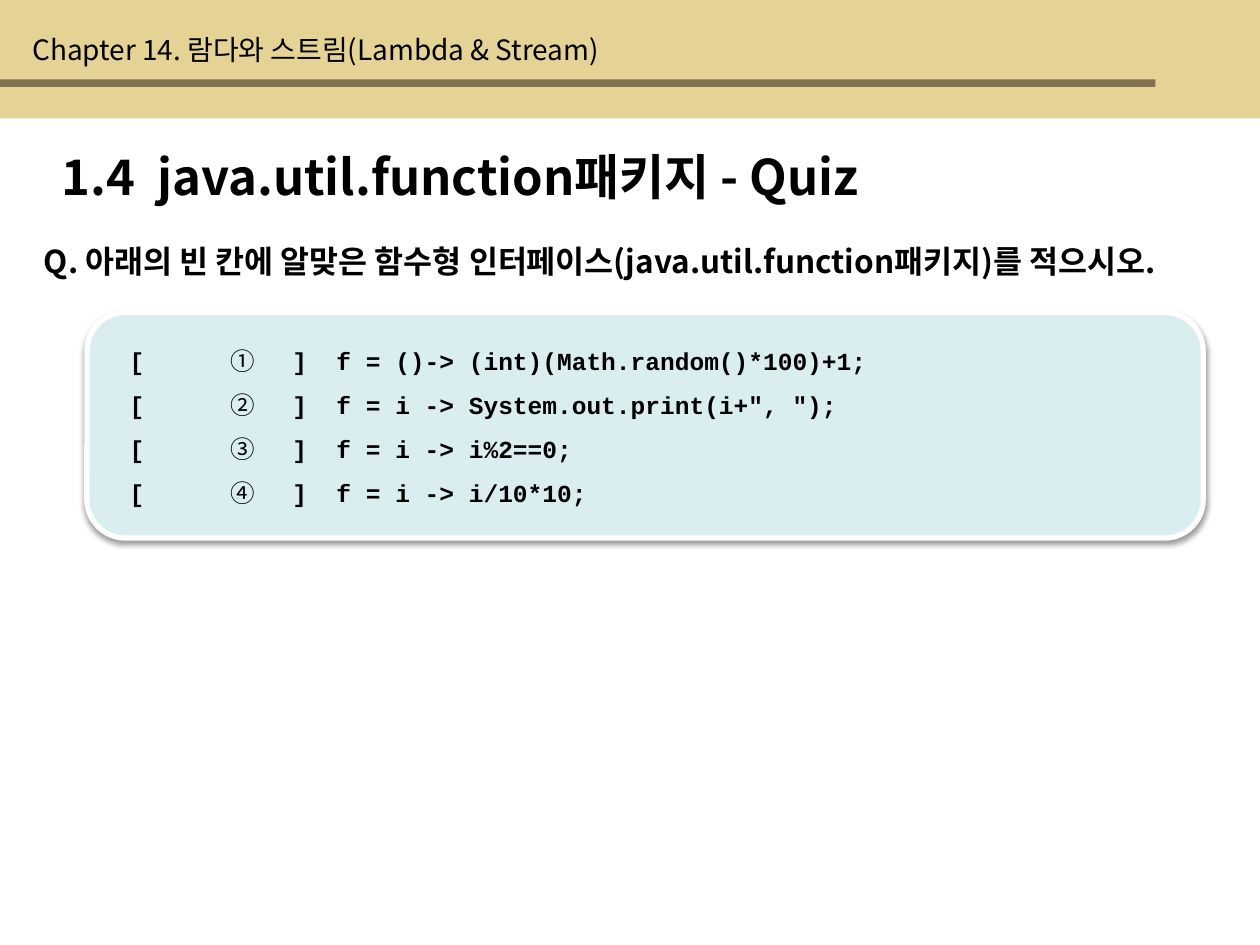
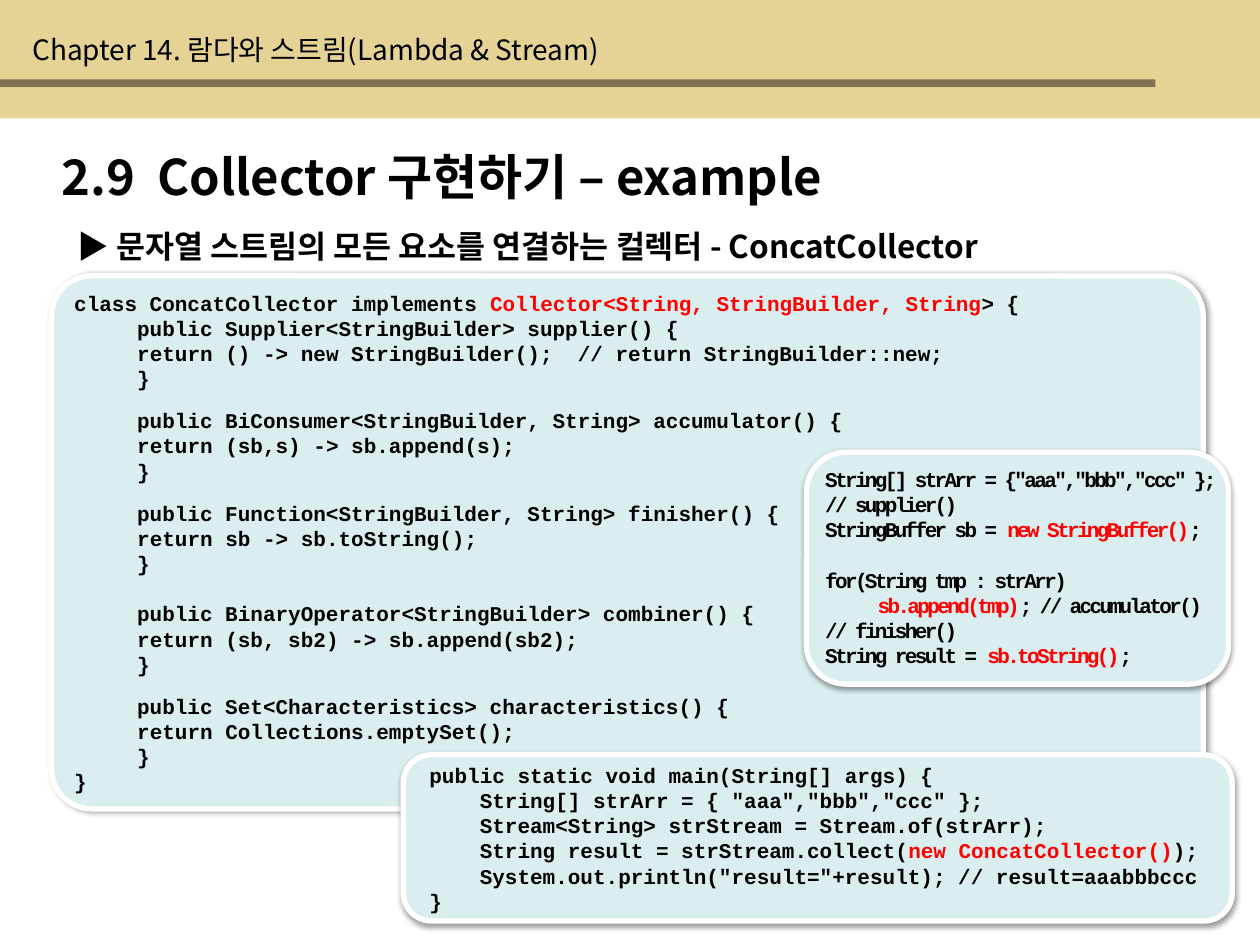
from lxml import etree
from pptx import Presentation
from pptx.dml.color import RGBColor
from pptx.enum.shapes import MSO_SHAPE
from pptx.enum.text import MSO_ANCHOR, MSO_AUTO_SIZE
from pptx.oxml.ns import qn
from pptx.util import Inches, Pt

RECT, ROUND = MSO_SHAPE.RECTANGLE, MSO_SHAPE.ROUNDED_RECTANGLE
TOP, BOTTOM = MSO_ANCHOR.TOP, MSO_ANCHOR.BOTTOM
FIT = MSO_AUTO_SIZE.SHAPE_TO_FIT_TEXT

SAND = RGBColor(0xE4, 0xD3, 0x94)
BROWN = RGBColor(0x81, 0x70, 0x51)
PALE = RGBColor(0xDA, 0xED, 0xEF)
WHITE = RGBColor(0xFF, 0xFF, 0xFF)
BLACK = RGBColor(0, 0, 0)
RED = RGBColor(0xFF, 0, 0)
SANS, MONO = "Noto Sans CJK KR", "Courier New"

CHAPTER = "Chapter 14. 람다와 스트림(Lambda & Stream)"
QUIZ = {
    "title": "1.4  java.util.function패키지 - Quiz",
    "lead": ("Q. 아래의 빈 칸에 알맞은 함수형 인터페이스(java.util.function패키지)를 적으시오.",
             (0.25, 1.87, 10.28, 0.4)),
}
BLANKS = [
    ("➀", "]  f = ()-> (int)(Math.random()*100)+1;"),
    ("➁", "]  f = i -> System.out.print(i+\", \");"),
    ("➂", "]  f = i -> i%2==0;"),
    ("➃", "]  f = i -> i/10*10;"),
]
EXAMPLE = {
    "title": "2.9  Collector 구현하기 – example",
    "lead": ("▶ 문자열 스트림의 모든 요소를 연결하는 컬렉터 - ConcatCollector",
             (0.52, 1.75, 9.41, 0.4)),
}
# In code, bars enclose red parts and a number is a gap in points.
COLLECTOR = [
    "class ConcatCollector implements |Collector<String, StringBuilder, String|> {",
    "     public Supplier<StringBuilder> supplier() {",
    "\treturn () -> new StringBuilder();  // return StringBuilder::new;",
    "     }",
    9.5,
    "     public BiConsumer<StringBuilder, String> accumulator() {",
    "\treturn (sb,s) -> sb.append(s);",
    "     }",
    9.5,
    "     public Function<StringBuilder, String> finisher() {",
    "\treturn sb -> sb.toString();",
    "     }",
    14.4,
    "     public BinaryOperator<StringBuilder> combiner() {",
    "\treturn (sb, sb2) -> sb.append(sb2);",
    "     }",
    9.5,
    "     public Set<Characteristics> characteristics() {",
    "\treturn Collections.emptySet();",
    "     }",
    "}",
]
MAIN = [
    "public static void main(String[] args) {",
    "    String[] strArr = { \"aaa\",\"bbb\",\"ccc\" };",
    "    Stream<String> strStream = Stream.of(strArr);",
    "    String result = strStream.collect(|new ConcatCollector()|);",
    "    System.out.println(\"result=\"+result); // result=aaabbbccc",
    "}",
]
LOOP = [
    "String[] strArr = {\"aaa\",\"bbb\",\"ccc\" };",
    "// supplier()",
    "StringBuffer sb = |new StringBuffer()|;",
    14.4,
    "for(String tmp : strArr)",
    "     |sb.append(tmp)|; // accumulator()",
    "// finisher()",
    "String result = |sb.toString()|;",
]
# card place, text place, lines, corner, shadow angle, letter spacing
CODES = [
    ((0.41, 2.19, 9.14, 4.23), (0.49, 2.32, 9.22, 4.03), COLLECTOR, 0.075, 20, 0),
    ((3.2, 5.99, 6.58, 1.32), (3.31, 5.99, 6.64, 1.31), MAIN, 0.17, 90, 0),
    ((6.4, 3.59, 3.35, 1.84), (6.45, 3.63, 3.38, 1.72), LOOP, 0.17, 90, -1.5),
]


def place(box):
    return [Inches(v) for v in box]


def add_run(para, text, size, face=SANS, bold=True, color=BLACK, track=0):
    run = para.add_run()
    run.text = text
    font = run.font
    font.size, font.name, font.bold = Pt(size), face, bold
    font.color.rgb = color
    props = font._element
    etree.SubElement(props, qn("a:ea"), typeface=SANS)
    if track:
        props.set("spc", str(int(track * 100)))


def add_frame(slide, box, anchor=TOP):
    frame = slide.shapes.add_textbox(*place(box)).text_frame
    frame.word_wrap = True
    frame.auto_size = FIT
    frame.vertical_anchor = anchor
    return frame


def next_para(frame, first):
    return frame.paragraphs[0] if first else frame.add_paragraph()


def add_label(slide, text, box, size, bold=True, hang=0):
    para = add_frame(slide, box).paragraphs[0]
    if hang:
        props = para._p.get_or_add_pPr()
        props.set("marL", str(Inches(hang)))
        props.set("indent", str(-Inches(hang)))
    add_run(para, text, size, bold=bold)


def add_band(slide, box, color):
    band = slide.shapes.add_shape(RECT, *place(box))
    band.shadow.inherit = False
    band.fill.solid()
    band.fill.fore_color.rgb = color
    band.line.fill.background()


def add_card(slide, box, corner=0.17, angle=90):
    """Rounded code panel with a white rim and a soft shadow."""
    card = slide.shapes.add_shape(ROUND, *place(box))
    card.adjustments[0] = corner
    card.fill.solid()
    card.fill.fore_color.rgb = PALE
    card.line.color.rgb = WHITE
    card.line.width = Pt(3)
    card.shadow.inherit = False
    effects = card._element.spPr.find(qn("a:effectLst"))
    shade = etree.SubElement(effects, qn("a:outerShdw"), blurRad=str(Pt(3.1)),
                             dist=str(Pt(1.6)), dir=str(angle * 60000), rotWithShape="0")
    tint = etree.SubElement(shade, qn("a:srgbClr"), val=str(BLACK))
    etree.SubElement(tint, qn("a:alpha"), val="38000")


def add_code(slide, box, lines, track):
    frame = add_frame(slide, box, BOTTOM)
    gap = 0
    for i, line in enumerate(lines):
        if not isinstance(line, str):
            gap = line
            continue
        para = next_para(frame, i == 0)
        if gap:
            para.space_before = Pt(gap)
            gap = 0
        for j, part in enumerate(line.split("|")):
            add_run(para, part, 12, MONO, color=RED if j % 2 else BLACK, track=track)


def add_blanks(slide, box):
    """Quiz lines, with the number and closing bracket on tab stops."""
    frame = add_frame(slide, box, BOTTOM)
    frame.margin_left = Inches(0.22)
    for i, (mark, code) in enumerate(BLANKS):
        para = next_para(frame, i == 0)
        para.line_spacing = 1.5
        tabs = etree.SubElement(para._p.get_or_add_pPr(), qn("a:tabLst"))
        for stop in (0.8, 1.29):
            etree.SubElement(tabs, qn("a:tab"), pos=str(Inches(stop)), algn="l")
        add_run(para, "[\t", 14, MONO)
        add_run(para, mark + "\t", 14, bold=False)
        add_run(para, code, 14, MONO)


def add_page(deck, page):
    slide = deck.slides.add_slide(deck.slide_layouts[6])
    add_band(slide, (0, 0, 10, 0.94), SAND)
    add_band(slide, (0, 0.63, 9.17, 0.06), BROWN)
    add_label(slide, page["title"], (0.39, 1.11, 9.37, 0.57), 28)
    add_label(slide, CHAPTER, (0.16, 0.21, 6.22, 0.37), 16, bold=False)
    text, box = page["lead"]
    add_label(slide, text, box, 18, hang=0.29)
    return slide


def main():
    deck = Presentation()
    deck.slide_width, deck.slide_height = Inches(10), Inches(7.5)
    quiz = add_page(deck, QUIZ)
    add_card(quiz, (0.69, 2.48, 8.86, 1.79))
    add_blanks(quiz, (0.81, 2.57, 8.67, 1.51))
    example = add_page(deck, EXAMPLE)
    for card, box, lines, corner, angle, track in CODES:
        add_card(example, card, corner, angle)
        add_code(example, box, lines, track)
    deck.save("out.pptx")


if __name__ == "__main__":
    main()
